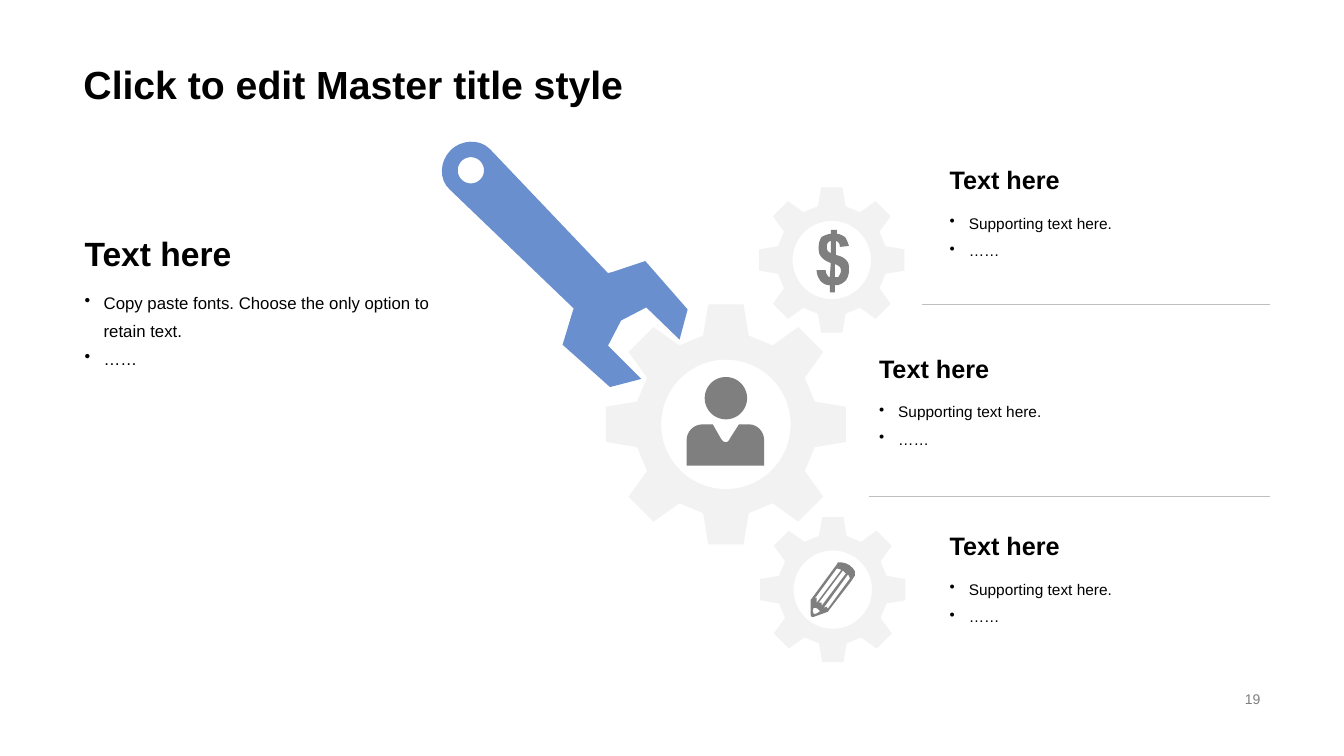
"""Build a slide with a wrench turning three gears, each gear explained by a text block."""
import math
import lxml.etree
import pptx
import pptx.dml.color
import pptx.enum.shapes
import pptx.enum.text
import pptx.oxml.ns
import pptx.util

Inches = pptx.util.Inches
Pt = pptx.util.Pt
RGBColor = pptx.dml.color.RGBColor
Anchor = pptx.enum.text.MSO_ANCHOR
Align = pptx.enum.text.PP_ALIGN

BLACK = RGBColor(0x00, 0x00, 0x00)
GRAY = RGBColor(0x7F, 0x7F, 0x7F)
LIGHT_GRAY = RGBColor(0xF2, 0xF2, 0xF2)
LINE_GRAY = RGBColor(0xBF, 0xBF, 0xBF)
BLUE = RGBColor(0x69, 0x8F, 0xCE)
FONT = "Arial"
BULLET_INDENT = 0.19

TITLE = "Click to edit Master title style"
PAGE_NUMBER = "19"
HEADING = "Text here"
MAIN_BULLETS = ["Copy paste fonts. Choose the only option to retain text.", "……"]
GEAR_BULLETS = ["Supporting text here.", "……"]

GEAR_BLOCKS = [(9.32, 1.5), (8.62, 3.37), (9.32, 5.13)]
DIVIDERS = [(9.14, 3.02), (8.62, 4.93)]
DIVIDER_END = 12.6
GEARS = [(8.26, 5.85, 0.72), (8.25, 2.58, 0.72), (7.2, 4.21, 1.19)]
TOOTH = [(-0.19, 0.74), (-0.147, 1), (0.147, 1), (0.19, 0.74)]
TEETH = 8
GEAR_HOLE = 0.54

# Two numbers are a corner; six are a Bezier curve's two controls and its end.
WRENCH = [
    (6.36, 3.76), (6.05, 3.84), (5.58, 3.42), (5.68, 3.09), (5.69, 3.06), (4.46, 1.88),
    (4.35, 1.78, 4.36, 1.6, 4.47, 1.49), (4.57, 1.39, 4.75, 1.37, 4.86, 1.48),
    (6.03, 2.71), (6.07, 2.7), (6.4, 2.59), (6.82, 3.07), (6.74, 3.37), (6.73, 3.36),
    (6.41, 3.05), (6.16, 3.18), (6.03, 3.43), (6.34, 3.74),
]
PERSON_BODY = [
    (6.97, 4.21), (7.07, 4.21), (7.15, 4.35), (7.18, 4.4, 7.22, 4.4, 7.24, 4.35),
    (7.33, 4.21), (7.43, 4.21), (7.51, 4.21, 7.58, 4.28, 7.58, 4.37),
    (7.58, 4.62), (6.81, 4.62), (6.81, 4.37), (6.81, 4.28, 6.88, 4.21, 6.97, 4.21),
]
DOLLAR = [
    [(8.23, 2.75), (8.24, 2.61), (8.19, 2.59, 8.16, 2.57, 8.14, 2.54),
     (8.12, 2.52, 8.12, 2.49, 8.12, 2.45), (8.12, 2.41, 8.13, 2.38, 8.15, 2.35),
     (8.17, 2.34, 8.21, 2.32, 8.24, 2.32), (8.24, 2.28), (8.3, 2.28), (8.3, 2.32),
     (8.33, 2.32, 8.36, 2.34, 8.38, 2.35), (8.4, 2.38, 8.41, 2.41, 8.42, 2.44),
     (8.33, 2.45), (8.33, 2.42, 8.32, 2.4, 8.29, 2.39), (8.29, 2.53),
     (8.34, 2.54, 8.38, 2.56, 8.4, 2.59), (8.42, 2.61, 8.42, 2.64, 8.42, 2.68),
     (8.42, 2.72, 8.41, 2.75, 8.39, 2.78), (8.36, 2.81, 8.33, 2.83, 8.28, 2.83),
     (8.28, 2.9), (8.23, 2.9), (8.23, 2.83), (8.19, 2.83, 8.16, 2.81, 8.14, 2.79),
     (8.12, 2.76, 8.1, 2.73, 8.1, 2.68), (8.19, 2.68),
     (8.19, 2.69, 8.19, 2.71, 8.2, 2.72), (8.21, 2.74, 8.22, 2.75, 8.23, 2.75)],
    [(8.24, 2.39), (8.23, 2.39, 8.22, 2.4, 8.21, 2.41), (8.2, 2.43, 8.2, 2.43, 8.2, 2.45),
     (8.2, 2.46, 8.2, 2.47, 8.21, 2.49), (8.21, 2.49, 8.23, 2.51, 8.24, 2.51)],
    [(8.28, 2.75), (8.3, 2.75, 8.32, 2.75, 8.32, 2.74), (8.33, 2.72, 8.34, 2.71, 8.34, 2.69),
     (8.34, 2.68, 8.34, 2.66, 8.33, 2.65), (8.32, 2.64, 8.31, 2.63, 8.28, 2.62)],
]
PENCIL = [
    [(8.43, 5.61), (8.39, 5.59), (8.35, 5.58), (8.31, 5.58), (8.3, 5.6), (8.05, 5.94),
     (8.04, 5.95), (8.04, 6.1), (8.05, 6.12), (8.07, 6.12), (8.21, 6.07), (8.44, 5.77),
     (8.48, 5.71), (8.48, 5.67), (8.46, 5.64)],
    [(8.21, 6.04), (8.2, 6.02), (8.17, 6.03), (8.41, 5.7), (8.42, 5.71), (8.43, 5.74)],
    [(8.13, 6.07), (8.09, 6.09), (8.07, 6.09), (8.06, 6.06), (8.07, 6.03), (8.09, 6.03),
     (8.11, 6.04), (8.13, 6.06)],
    [(8.3, 5.64), (8.34, 5.65), (8.34, 5.66), (8.1, 5.98), (8.1, 5.93), (8.08, 5.94)],
    [(8.15, 6.01), (8.15, 5.98), (8.12, 5.98), (8.36, 5.66), (8.38, 5.68), (8.39, 5.69)],
]


def flatten(outline, steps=8):
    points = []
    for item in outline:
        if len(item) == 2:
            points.append(item)
            continue
        controls = [points[-1], item[:2], item[2:4], item[4:]]
        for step in range(1, steps + 1):
            t = step / steps
            weights = [(1 - t) ** 3, 3 * t * (1 - t) ** 2, 3 * t * t * (1 - t), t ** 3]
            points.append(tuple(sum(w * c[axis] for w, c in zip(weights, controls))
                                for axis in (0, 1)))
    return points


def circle(x, y, radius, count=72):
    angles = [2 * math.pi * index / count for index in range(count)]
    return [(x + radius * math.cos(a), y + radius * math.sin(a)) for a in angles]


def gear(x, y, radius):
    rim = []
    for index in range(TEETH):
        angle = -2 * math.pi * index / TEETH
        cosine, sine = math.cos(angle), math.sin(angle)
        rim += [(x + radius * (across * cosine - out * sine),
                 y + radius * (across * sine + out * cosine)) for across, out in TOOTH]
    return [rim, circle(x, y, radius * GEAR_HOLE)]


def add_outline(slide, outlines, color):
    builder = None
    for outline in outlines:
        points = [(Inches(x), Inches(y)) for x, y in flatten(outline)]
        if builder is None:
            builder = slide.shapes.build_freeform(*points[0])
        else:
            builder.move_to(*points[0])
        builder.add_line_segments(points[1:], close=True)
    shape = builder.convert_to_shape()
    shape.shadow.inherit = False
    shape.fill.solid()
    shape.fill.fore_color.rgb = color
    shape.line.fill.background()


def add_text(slide, box, lines, size, bold=False, color=BLACK, anchor=Anchor.TOP,
             align=Align.LEFT, spacing=1.0, bullets=False):
    frame = slide.shapes.add_textbox(*map(Inches, box)).text_frame
    frame.word_wrap = True
    frame.vertical_anchor = anchor
    for index, line in enumerate(lines):
        paragraph = frame.paragraphs[0] if index == 0 else frame.add_paragraph()
        paragraph.text = line
        paragraph.alignment = align
        paragraph.line_spacing = spacing
        if bullets:
            properties = paragraph._p.get_or_add_pPr()
            properties.set("marL", str(Inches(BULLET_INDENT)))
            properties.set("indent", str(-Inches(BULLET_INDENT)))
            bullet = lxml.etree.SubElement(properties, pptx.oxml.ns.qn("a:buChar"))
            bullet.set("char", "•")
        paragraph.font.name = FONT
        paragraph.font.size = Pt(size)
        paragraph.font.bold = bold
        paragraph.font.color.rgb = color


def add_divider(slide, left, y):
    line = slide.shapes.add_connector(pptx.enum.shapes.MSO_CONNECTOR.STRAIGHT,
                                      Inches(left), Inches(y), Inches(DIVIDER_END), Inches(y))
    line.line.color.rgb = LINE_GRAY
    line.line.width = Pt(0.75)
    lxml.etree.SubElement(line._element.spPr, pptx.oxml.ns.qn("a:effectLst"))


presentation = pptx.Presentation()
presentation.slide_width = Inches(13.33)
presentation.slide_height = Inches(7.5)
slide = presentation.slides.add_slide(presentation.slide_layouts[6])

add_text(slide, (0.73, 0, 11.87, 1.12), [TITLE], 28, bold=True, anchor=Anchor.BOTTOM, spacing=0.9)
add_text(slide, (9.42, 6.82, 3.18, 0.23), [PAGE_NUMBER], 10, color=GRAY,
         anchor=Anchor.MIDDLE, align=Align.RIGHT)

for placement in GEARS:
    add_outline(slide, gear(*placement), LIGHT_GRAY)
add_outline(slide, [circle(7.2, 3.95, 0.21), PERSON_BODY], GRAY)
add_outline(slide, [WRENCH, circle(4.67, 1.69, 0.13)], BLUE)
add_outline(slide, DOLLAR, GRAY)
add_outline(slide, PENCIL, GRAY)

add_text(slide, (0.74, 2.28, 3.93, 0.48), [HEADING], 24, bold=True,
         anchor=Anchor.BOTTOM, spacing=0.9)
add_text(slide, (0.74, 2.77, 3.93, 0.95), MAIN_BULLETS, 12, spacing=1.4, bullets=True)
for left, top in GEAR_BLOCKS:
    add_text(slide, (left, top, 3.27, 0.48), [HEADING], 18, bold=True, anchor=Anchor.BOTTOM)
    add_text(slide, (left, top + 0.48, 3.27, 0.77), GEAR_BULLETS, 11, spacing=1.5, bullets=True)
for left, y in DIVIDERS:
    add_divider(slide, left, y)

presentation.save("out.pptx")
